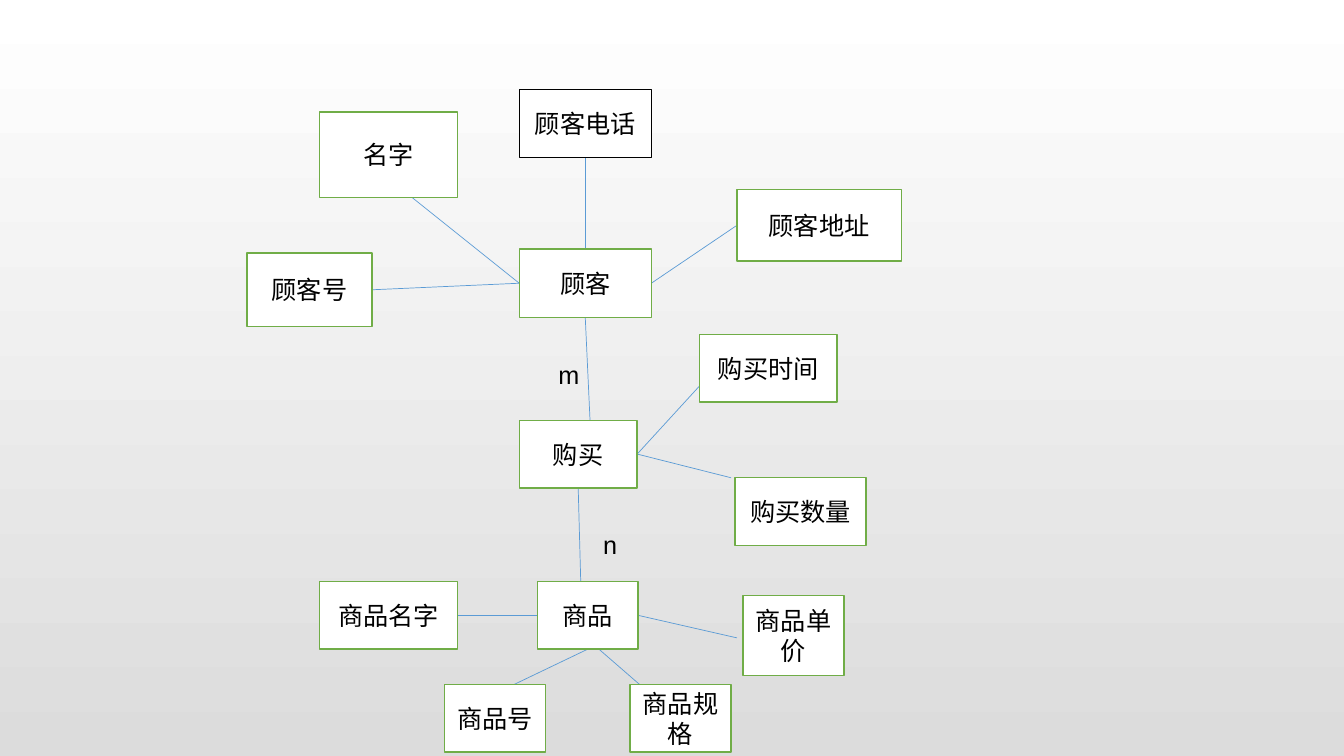
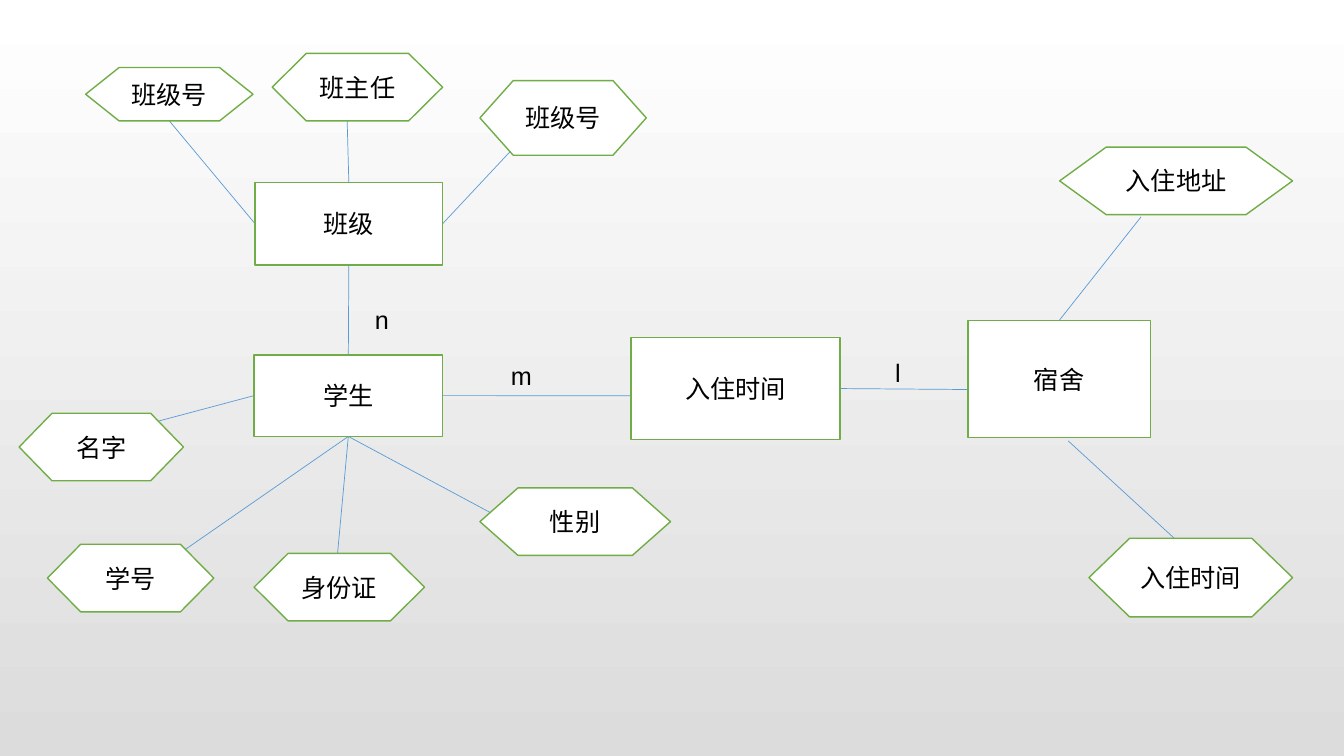
from lxml import etree
from pptx import Presentation
from pptx.dml.color import RGBColor
from pptx.enum.shapes import MSO_CONNECTOR, MSO_SHAPE
from pptx.enum.text import MSO_ANCHOR, MSO_AUTO_SIZE, PP_ALIGN
from pptx.oxml.ns import qn
from pptx.util import Inches, Pt

WHITE = RGBColor(0xFF, 0xFF, 0xFF)
GREY = RGBColor(0xDC, 0xDC, 0xDC)
BLACK = RGBColor(0x00, 0x00, 0x00)
GREEN = RGBColor(0x70, 0xAD, 0x47)
BLUE = RGBColor(0x5B, 0x9B, 0xD5)

PROCESS = MSO_SHAPE.FLOWCHART_PROCESS
PREPARATION = MSO_SHAPE.FLOWCHART_PREPARATION
RECTANGLE = MSO_SHAPE.RECTANGLE
STRAIGHT = MSO_CONNECTOR.STRAIGHT
MIDDLE = MSO_ANCHOR.MIDDLE
CENTER = PP_ALIGN.CENTER
FIT_SHAPE = MSO_AUTO_SIZE.SHAPE_TO_FIT_TEXT

FONT = "Arial"
TEXT_SIZE = Pt(18)
COLUMNS, ROWS = 13.33, 7.5
LABEL_ROWS = 0.4
BOX_ROWS = 0.67

# Points on a node, as shares of its width and height
TOP, BOTTOM, LEFT, RIGHT = (0.5, 0), (0.5, 1), (0, 0.5), (1, 0.5)

# Nodes: name -> (text, shape, (column, row, columns, rows))
# Links: (first node, point on it, second node, point on it)
# Labels: (text, column, row, columns)
PURCHASE_NODES = {
    "phone": ("顾客电话", PROCESS, (5.15, 0.89, 1.31, BOX_ROWS)),
    "customer": ("顾客", PROCESS, (5.15, 2.47, 1.31, 0.68)),
    "address": ("顾客地址", PROCESS, (7.31, 1.88, 1.63, 0.71)),
    "name": ("名字", RECTANGLE, (3.17, 1.11, 1.37, 0.85)),
    "customer number": ("顾客号", PROCESS, (2.45, 2.51, 1.24, 0.73)),
    "purchase": ("购买", PROCESS, (5.15, 4.17, 1.17, BOX_ROWS)),
    "time": ("购买时间", PROCESS, (6.94, 3.32, 1.36, BOX_ROWS)),
    "quantity": ("购买数量", PROCESS, (7.29, 4.74, 1.3, BOX_ROWS)),
    "goods": ("商品", PROCESS, (5.33, 5.77, 1, BOX_ROWS)),
    "goods name": ("商品名字", PROCESS, (3.17, 5.77, 1.37, BOX_ROWS)),
    "price": ("商品单价", RECTANGLE, (7.37, 5.91, 1, 0.79)),
    "goods number": ("商品号", PROCESS, (4.41, 6.79, 1, BOX_ROWS)),
    "format": ("商品规格", PROCESS, (6.25, 6.79, 1, BOX_ROWS)),
}
PURCHASE_LINKS = [
    ("phone", BOTTOM, "customer", TOP),
    ("customer", RIGHT, "address", LEFT),
    ("customer", LEFT, "name", (0.67, 1)),
    ("customer", LEFT, "customer number", RIGHT),
    ("customer", BOTTOM, "purchase", (0.6, 0)),
    ("purchase", RIGHT, "time", (0.03, 0.69)),
    ("purchase", RIGHT, "quantity", (-0.03, 0)),
    ("purchase", BOTTOM, "goods", (0.43, 0)),
    ("goods", LEFT, "goods name", RIGHT),
    ("goods", RIGHT, "price", (-0.06, 0.53)),
    ("goods", BOTTOM, "goods number", (0.69, 0)),
    ("goods", (0.61, 1), "format", (0.17, 0.1)),
]
PURCHASE_LABELS = [("m", 5.44, 3.52, 0.29), ("n", 5.91, 5.2, 0.17)]

DORMITORY_NODES = {
    "class number": ("班级号", PREPARATION, (0.85, 0.67, 1.66, 0.53)),
    "class": ("班级", PROCESS, (2.53, 1.81, 1.86, 0.82)),
    "head teacher": ("班主任", PREPARATION, (2.7, 0.53, 1.69, BOX_ROWS)),
    "second class number": ("班级号", PREPARATION, (4.76, 0.8, 1.65, 0.74)),
    "student": ("学生", PROCESS, (2.52, 3.52, 1.87, 0.81)),
    "name": ("名字", PREPARATION, (0.19, 4.1, 1.63, BOX_ROWS)),
    "student number": ("学号", PREPARATION, (0.47, 5.4, 1.65, BOX_ROWS)),
    "identity card": ("身份证", PREPARATION, (2.52, 5.49, 1.69, BOX_ROWS)),
    "gender": ("性别", PREPARATION, (4.76, 4.84, 1.89, BOX_ROWS)),
    "stay": ("入住时间", PROCESS, (6.26, 3.35, 2.07, 1.01)),
    "dormitory": ("宿舍", PROCESS, (9.6, 3.18, 1.81, 1.16)),
    "address": ("入住地址", PREPARATION, (10.51, 1.46, 2.31, BOX_ROWS)),
    "time": ("入住时间", PREPARATION, (10.8, 5.34, 2.02, 0.78)),
}
DORMITORY_LINKS = [
    ("class number", BOTTOM, "class", LEFT),
    ("head teacher", (0.44, 1), "class", TOP),
    ("class", RIGHT, "second class number", (0.22, 0.86)),
    ("class", BOTTOM, "student", TOP),
    ("student", LEFT, "name", (0.61, 0.27)),
    ("student", BOTTOM, "student number", (0.78, 0.16)),
    ("student", BOTTOM, "identity card", (0.49, 0)),
    ("student", BOTTOM, "gender", (0.11, 0.45)),
    ("student", RIGHT, "stay", (0, 0.57)),
    ("stay", RIGHT, "dormitory", (0, 0.59)),
    ("dormitory", TOP, "address", (0.35, 1.03)),
    ("dormitory", (0.55, 1.03), "time", (0.44, 0.05)),
]
DORMITORY_LABELS = [("n", 3.62, 2.97, 0.26), ("m", 4.97, 3.53, 0.57),
                    ("l", 8.78, 3.5, 0.27)]


def place(box, cell):
    """Turn a cell of the grid over the box into left, top, width, height."""
    left, top, width, height = box
    column, row, columns, rows = cell
    return (round(left + width * column / COLUMNS),
            round(top + height * row / ROWS),
            round(width * columns / COLUMNS),
            round(height * rows / ROWS))


def point_on(area, share):
    """Return the point at the given shares of an area's width and height."""
    left, top, width, height = area
    return round(left + width * share[0]), round(top + height * share[1])


def write(shape, text):
    """Put one paragraph in the shared text style into a shape."""
    shape.text_frame.word_wrap = True
    paragraph = shape.text_frame.paragraphs[0]
    paragraph.text = text
    paragraph.font.name = FONT
    paragraph.font.size = TEXT_SIZE
    paragraph.font.color.rgb = BLACK
    return paragraph


def add_link(slide, start, end):
    """Draw a thin straight line between two points."""
    link = slide.shapes.add_connector(STRAIGHT, *start, *end)
    link.line.color.rgb = BLUE
    link.line.width = Pt(0.5)
    etree.SubElement(link._element.spPr, qn("a:effectLst"))


def add_node(slide, text, kind, area, outline):
    """Draw a white outlined shape with centred text."""
    node = slide.shapes.add_shape(kind, *area)
    node.shadow.inherit = False
    node.fill.solid()
    node.fill.fore_color.rgb = WHITE
    node.line.color.rgb = outline
    node.line.width = Pt(1)
    node.text_frame.vertical_anchor = MIDDLE
    write(node, text).alignment = CENTER


def add_label(slide, text, area):
    """Write the cardinality beside a link."""
    label = slide.shapes.add_textbox(*area)
    write(label, text)
    label.text_frame.auto_size = FIT_SHAPE


def add_diagram(slide, box, nodes, links, labels, outlines):
    """Lay an entity diagram over the box: links, then nodes, then labels."""
    areas = {name: place(box, cell) for name, (_, _, cell) in nodes.items()}
    for first, first_share, second, second_share in links:
        add_link(slide, point_on(areas[first], first_share),
                 point_on(areas[second], second_share))
    for name, (text, kind, _) in nodes.items():
        add_node(slide, text, kind, areas[name], outlines.get(name, GREEN))
    for text, column, row, columns in labels:
        add_label(slide, text, place(box, (column, row, columns, LABEL_ROWS)))


def set_background(master):
    """Give all slides a gradient from white at the top to grey."""
    fill = master.background.fill
    fill.gradient()
    fill.gradient_angle = 270
    for stop, color, position in zip(fill.gradient_stops, (WHITE, GREY), (0, 1)):
        stop.color.rgb = color
        stop.position = position


def main():
    """Build both diagrams and save the presentation."""
    presentation = Presentation()
    presentation.slide_width = Inches(COLUMNS)
    presentation.slide_height = Inches(ROWS)
    set_background(presentation.slide_master)
    box = (0, 0, presentation.slide_width, presentation.slide_height)
    diagrams = [
        (PURCHASE_NODES, PURCHASE_LINKS, PURCHASE_LABELS, {"phone": BLACK}),
        (DORMITORY_NODES, DORMITORY_LINKS, DORMITORY_LABELS, {}),
    ]
    for diagram in diagrams:
        slide = presentation.slides.add_slide(presentation.slide_layouts[6])
        add_diagram(slide, box, *diagram)
    presentation.save("out.pptx")


main()
